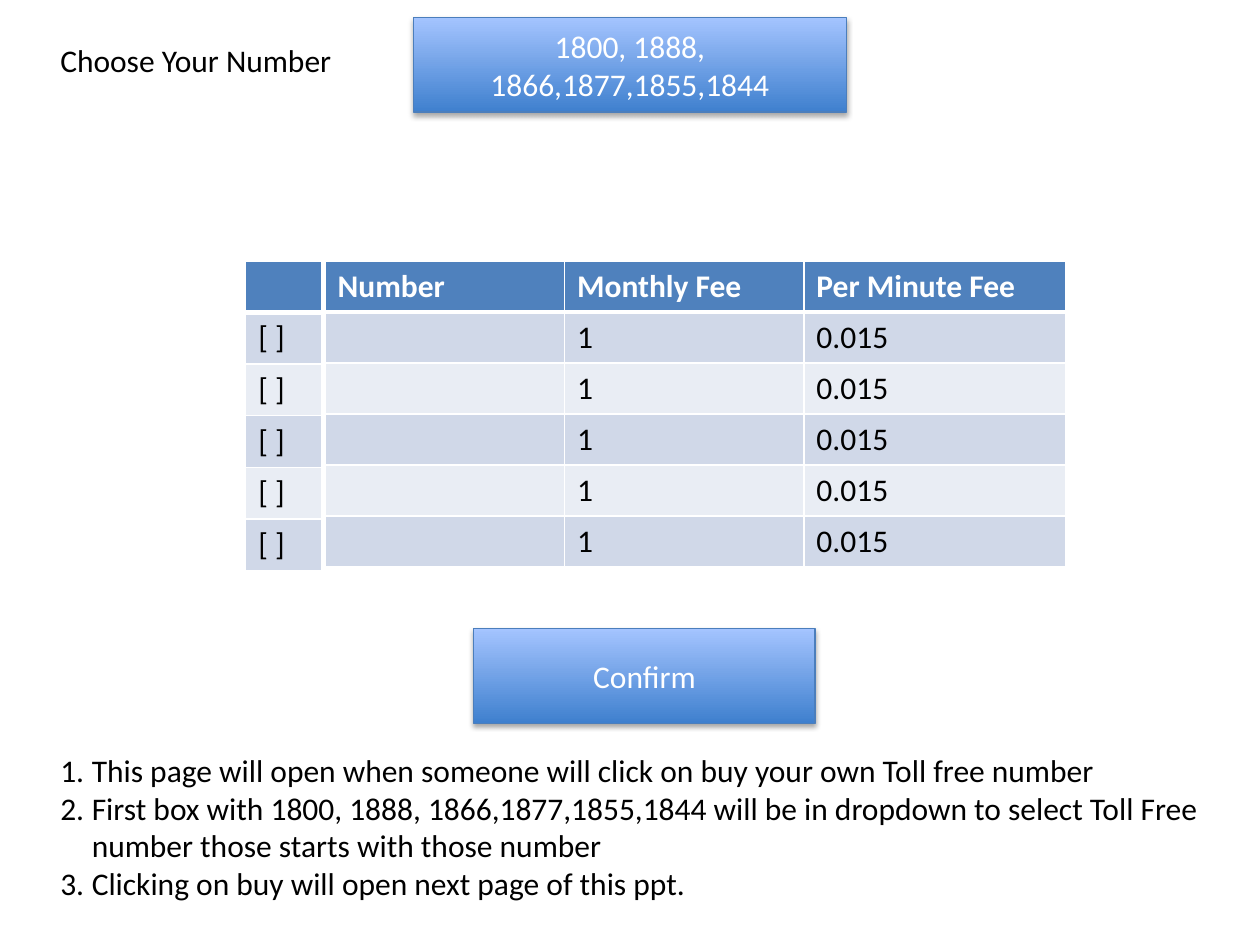
from lxml import etree
from pptx import Presentation
from pptx import util as u
from pptx.dml import color
from pptx.enum import shapes, text
from pptx.oxml import ns

PX = 9144
BLACK, WHITE = "000000", "FFFFFF"
HEAD, BANDS = "4F81BD", ("D0D8E8", "E9EDF4")


def emu(*sizes):
    """Turn px lengths into EMU."""
    return [u.Emu(int(s * PX)) for s in sizes]


def rgb(code):
    """Make a colour from a hex string."""
    return color.RGBColor.from_string(code)


def sub(node, tag, **attrs):
    """Add a child element with attributes."""
    return etree.SubElement(node, ns.qn(tag), {k: str(v) for k, v in attrs.items()})


def write(par, words, ink=BLACK, bold=False):
    """Add one formatted run to a paragraph."""
    run = par.add_run()
    run.text = words
    font = run.font
    font.name, font.size, font.bold = "Calibri", u.Pt(18), bold
    font.color.rgb = rgb(ink)


def label(slide, box, words):
    """Place a single line of text."""
    frame = slide.shapes.add_textbox(*emu(*box)).text_frame
    frame.word_wrap = False
    frame.auto_size = text.MSO_AUTO_SIZE.SHAPE_TO_FIT_TEXT
    write(frame.paragraphs[0], words)


def button(slide, box, words):
    """Place a glossy button with a soft shadow."""
    shape = slide.shapes.add_shape(shapes.MSO_SHAPE.RECTANGLE, *emu(*box))
    shape.fill.gradient()
    shape.fill.gradient_angle = 90
    for stop, code in zip(shape.fill.gradient_stops, ("3F80CE", "A4C4FF")):
        stop.color.rgb = rgb(code)
    shape.line.color.rgb = rgb("4B7EBC")
    shape.line.width = u.Pt(0.75)
    shape.shadow.inherit = False
    effects = shape._element.spPr.find(ns.qn("a:effectLst"))
    shade = sub(effects, "a:outerShdw", blurRad=u.Pt(3.1), dist=u.Pt(1.8),
                dir=5400000, rotWithShape=0)
    sub(sub(shade, "a:srgbClr", val=BLACK), "a:alpha", val=35000)
    frame = shape.text_frame
    frame.word_wrap = True
    frame.vertical_anchor = text.MSO_ANCHOR.MIDDLE
    par = frame.paragraphs[0]
    par.alignment = text.PP_ALIGN.CENTER
    write(par, words, WHITE)


def edge(cell, row):
    """Draw white cell borders, thick below the header."""
    props = cell._tc.get_or_add_tcPr()
    thick = {"T": 1, "B": 0}
    for side in "LRTB":
        width = 3 if thick.get(side) == row else 1
        line = sub(props, f"a:ln{side}", w=u.Pt(width))
        sub(sub(line, "a:solidFill"), "a:srgbClr", val=WHITE)


def grid(slide, box, widths, rows):
    """Place a banded table with a header row."""
    table = slide.shapes.add_table(len(rows), len(widths), *emu(*box)).table
    for col, width in zip(table.columns, widths):
        col.width = emu(width)[0]
    for r, row in enumerate(rows):
        table.rows[r].height = emu(box[3] / len(rows))[0]
        for c, words in enumerate(row):
            cell = table.cell(r, c)
            edge(cell, r)
            cell.fill.solid()
            cell.fill.fore_color.rgb = rgb(BANDS[(r - 1) % 2] if r else HEAD)
            if words:
                write(cell.text_frame.paragraphs[0], words,
                      BLACK if r else WHITE, r == 0)


def notes(slide, box, lines):
    """Place a numbered list."""
    frame = slide.shapes.add_textbox(*emu(*box)).text_frame
    frame.word_wrap = True
    for i, words in enumerate(lines):
        par = frame.add_paragraph() if i else frame.paragraphs[0]
        props = par._p.get_or_add_pPr()
        indent = emu(25)[0]
        props.set("marL", str(indent))
        props.set("indent", str(-indent))
        sub(props, "a:buFont", typeface="+mj-lt")
        sub(props, "a:buAutoNum", type="arabicPeriod")
        write(par, words)


def main():
    """Build the number order page."""
    deck = Presentation()
    deck.slide_width, deck.slide_height = emu(1000, 750)
    slide = deck.slides.add_slide(deck.slide_layouts[6])
    label(slide, (38, 28, 238, 40), "Choose Your Number")
    button(slide, (328, 14, 344, 75), "1800, 1888, 1866,1877,1855,1844")
    grid(slide, (258, 207, 588, 243), (190, 190, 208),
         [("Number", "Monthly Fee", "Per Minute Fee")] + [("", "1", "0.015")] * 5)
    button(slide, (376, 499, 271, 75), "Confirm")
    grid(slide, (195, 207, 60, 246), (60,), [("",)] + [("[ ]",)] * 5)
    notes(slide, (38, 591, 962, 162), (
        "This page will open when someone will click on buy your own Toll free number",
        "First box with 1800, 1888, 1866,1877,1855,1844 will be in dropdown to select "
        "Toll Free number those starts with those number",
        "Clicking on buy will open next page of this ppt."))
    deck.save("out.pptx")


if __name__ == "__main__":
    main()
